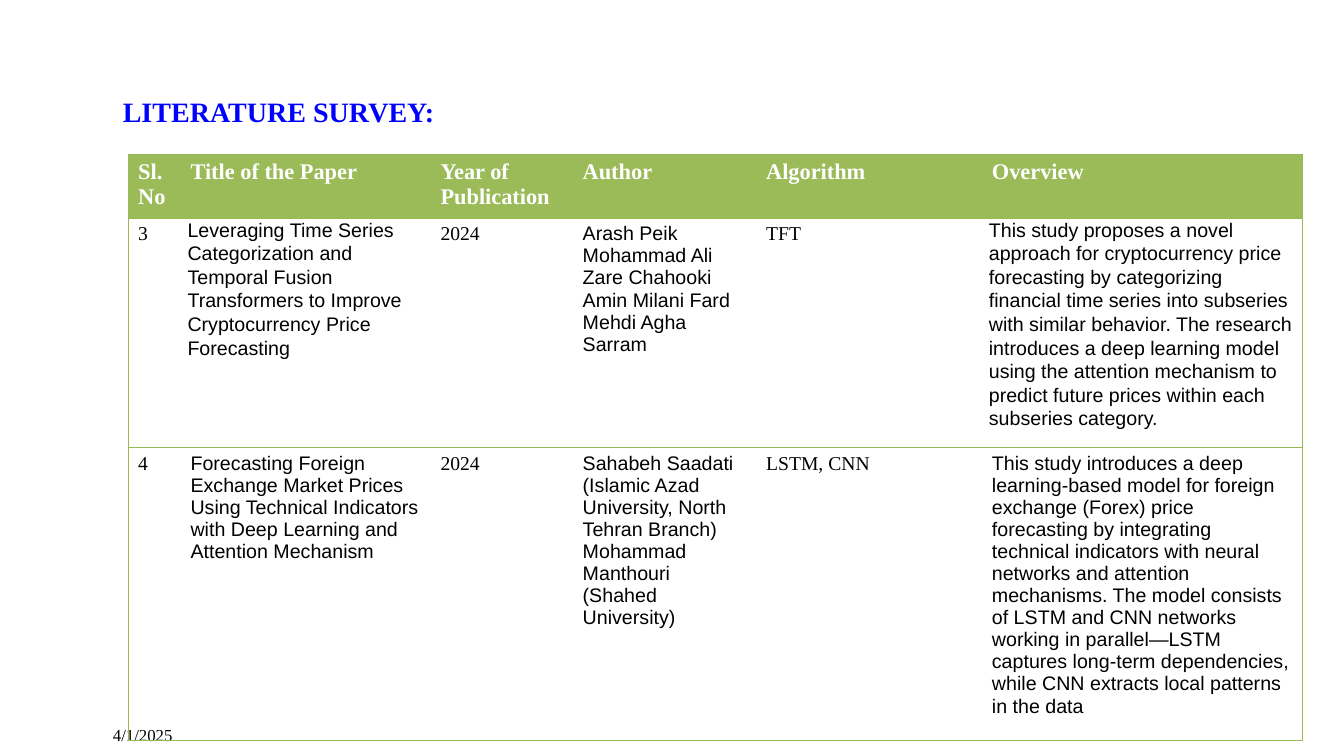
from dataclasses import dataclass

from lxml.etree import SubElement
from pptx import Presentation
from pptx.dml.color import RGBColor as RGB
from pptx.enum.text import MSO_ANCHOR as Anchor
from pptx.oxml.ns import qn
from pptx.util import Inches, Length, Pt


@dataclass(frozen=True)
class Theme:
    serif: str = "Times New Roman"
    sans: str = "Arial"
    title: RGB = RGB(0x00, 0x00, 0xFF)
    ink: RGB = RGB(0x00, 0x00, 0x00)
    paper: RGB = RGB(0xFF, 0xFF, 0xFF)
    header: RGB = RGB(0x9B, 0xBB, 0x59)
    rule: RGB = RGB(0x98, 0xB9, 0x55)
    rule_width: Length = Pt(0.75)
    title_size: Length = Pt(20)
    header_size: Length = Pt(16)
    body_size: Length = Pt(14)
    date_size: Length = Pt(12)


@dataclass(frozen=True)
class Style:
    font: str
    size: Length
    color: RGB
    bold: bool = False


@dataclass(frozen=True)
class Column:
    heading: str
    width: float  # percent of slide width
    style: Style


@dataclass(frozen=True)
class Row:
    texts: tuple[str, ...]
    height: float  # percent of slide height
    spaced: tuple[int, ...] = ()  # columns set with looser lines


@dataclass(frozen=True)
class Label:
    text: str
    box: tuple[float, float, float, float]  # percent of slide size
    style: Style
    margins: tuple[float, float]
    anchor: Anchor


T = Theme()
SLIDE_W, SLIDE_H = Inches(13.33), Inches(7.5)
HEADING = Style(T.serif, T.header_size, T.paper, True)
SERIF = Style(T.serif, T.body_size, T.ink)
SANS = Style(T.sans, T.body_size, T.ink)

LABELS = (
    Label("4/1/2025", (8.4, 93.2, 19.65, 5.33),
          Style(T.serif, T.date_size, T.ink), (0, 0), Anchor.BOTTOM),
    Label("LITERATURE SURVEY:", (8.4, 11.87, 31.2, 5.33),
          Style(T.serif, T.title_size, T.title, True), (0.1, 0.05), Anchor.TOP),
)
TABLE_LEFT, TABLE_TOP = 9.53, 20.4
COLUMNS = (
    Column("Sl. No", 3.9, SERIF),
    Column("Title of the Paper", 18.6, SANS),
    Column("Year of Publication", 10.58, SERIF),
    Column("Author", 13.65, SANS),
    Column("Algorithm", 16.8, SERIF),
    Column("Overview", 23.86, SANS),
)
ROWS = (
    Row(tuple(c.heading for c in COLUMNS), 8.13),
    Row((
        "3",
        "Leveraging Time Series Categorization and Temporal Fusion Transformers "
        "to Improve Cryptocurrency Price Forecasting",
        "2024",
        "Arash Peik Mohammad Ali Zare Chahooki Amin Milani Fard Mehdi Agha Sarram",
        "TFT",
        "This study proposes a novel approach for cryptocurrency price forecasting "
        "by categorizing financial time series into subseries with similar behavior. "
        "The research introduces a deep learning model using the attention mechanism "
        "to predict future prices within each subseries category.",
    ), 30.4, spaced=(1, 5)),
    Row((
        "4",
        "Forecasting Foreign Exchange Market Prices Using Technical Indicators "
        "with Deep Learning and Attention Mechanism",
        "2024",
        "Sahabeh Saadati (Islamic Azad University, North Tehran Branch) "
        "Mohammad Manthouri (Shahed University)",
        "LSTM, CNN",
        "This study introduces a deep learning-based model for foreign exchange "
        "(Forex) price forecasting by integrating technical indicators with neural "
        "networks and attention mechanisms. The model consists of LSTM and CNN "
        "networks working in parallel—LSTM captures long-term dependencies, while "
        "CNN extracts local patterns in the data",
    ), 37.2),
)


def across(percent: float) -> Length:
    return Length(round(SLIDE_W * percent / 100))


def down(percent: float) -> Length:
    return Length(round(SLIDE_H * percent / 100))


def add_run(p, text: str, style: Style) -> None:
    r = p.add_run()
    r.text = text
    r.font.name, r.font.size, r.font.bold = style.font, style.size, style.bold
    r.font.color.rgb = style.color


def add_label(slide, label: Label) -> None:
    x, y, w, h = label.box
    tf = slide.shapes.add_textbox(across(x), down(y), across(w), down(h)).text_frame
    tf.word_wrap = True
    tf.vertical_anchor = label.anchor
    side, edge = label.margins
    tf.margin_left = tf.margin_right = Inches(side)
    tf.margin_top = tf.margin_bottom = Inches(edge)
    add_run(tf.paragraphs[0], label.text, label.style)


def set_borders(cell, ruled: dict[str, bool]) -> None:
    """Rule the marked sides (L, R, T, B) and clear the others; call before filling."""
    tc_pr = cell._tc.get_or_add_tcPr()
    for side, shown in ruled.items():
        ln = SubElement(tc_pr, qn(f"a:ln{side}"), w=str(int(T.rule_width)))
        if shown:
            fill = SubElement(ln, qn("a:solidFill"))
            SubElement(fill, qn("a:srgbClr"), val=str(T.rule))
        else:
            SubElement(ln, qn("a:noFill"))


def fill_cell(cell, row: int, col: int) -> None:
    set_borders(cell, {"L": col == 0, "R": col == len(COLUMNS) - 1,
                       "T": True, "B": True})
    if row == 0:
        cell.fill.solid()
        cell.fill.fore_color.rgb = T.header
    else:
        cell.fill.background()
    p = cell.text_frame.paragraphs[0]
    if col in ROWS[row].spaced:
        cell.margin_left = cell.margin_right = Inches(0.07)
        cell.margin_top = cell.margin_bottom = 0
        p.line_spacing, p.space_after = 1.07, Pt(8)
    add_run(p, ROWS[row].texts[col], COLUMNS[col].style if row else HEADING)


def add_survey_table(slide) -> None:
    frame = slide.shapes.add_table(
        len(ROWS), len(COLUMNS), across(TABLE_LEFT), down(TABLE_TOP),
        across(sum(c.width for c in COLUMNS)), down(sum(r.height for r in ROWS)))
    table = frame.table
    table.first_row = table.horz_banding = False
    for column, data in zip(table.columns, COLUMNS):
        column.width = across(data.width)
    for i, (row, data) in enumerate(zip(table.rows, ROWS)):
        row.height = down(data.height)
        for j, cell in enumerate(row.cells):
            fill_cell(cell, i, j)


def main() -> None:
    prs = Presentation()
    prs.slide_width, prs.slide_height = SLIDE_W, SLIDE_H
    slide = prs.slides.add_slide(prs.slide_layouts[6])
    for label in LABELS:
        add_label(slide, label)
    add_survey_table(slide)
    prs.save("out.pptx")


if __name__ == "__main__":
    main()
